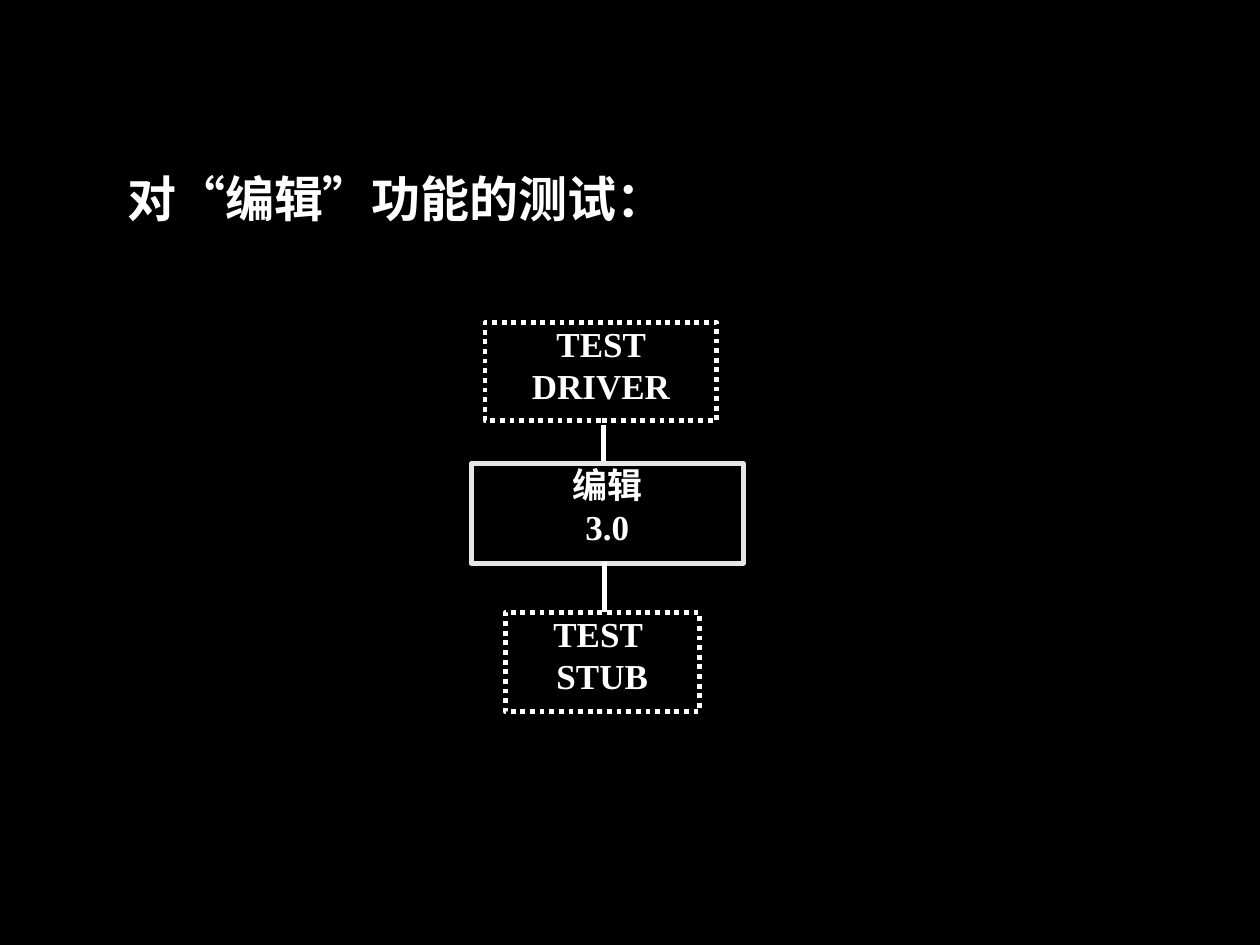
import pptx
import pptx.util
import pptx.dml.color
import pptx.enum.dml
import pptx.enum.shapes
import pptx.enum.text
import pptx.oxml.ns
import lxml.etree

Inches = pptx.util.Inches
Pt = pptx.util.Pt
BLACK = pptx.dml.color.RGBColor(0x00, 0x00, 0x00)
WHITE = pptx.dml.color.RGBColor(0xFF, 0xFF, 0xFF)
LIGHT_GRAY = pptx.dml.color.RGBColor(0xE7, 0xE6, 0xE6)
DOTTED = pptx.enum.dml.MSO_LINE.ROUND_DOT
SOLID = pptx.enum.dml.MSO_LINE.SOLID
ALIGN = pptx.enum.text.PP_ALIGN
TOP = pptx.enum.text.MSO_ANCHOR.TOP


def add_text(paragraph, text, size, alignment):
    paragraph.alignment = alignment
    run = paragraph.add_run()
    run.text = text
    run.font.name = "Times New Roman"
    run.font.size = Pt(size)
    run.font.bold = True
    run.font.color.rgb = WHITE


deck = pptx.Presentation()
deck.slide_width = Inches(10)
deck.slide_height = Inches(7.5)
slide = deck.slides.add_slide(deck.slide_layouts[5])
slide.background.fill.solid()
slide.background.fill.fore_color.rgb = BLACK

# Heading
heading = slide.shapes.title
heading.left, heading.top = Inches(0.91), Inches(1.29)
heading.width, heading.height = Inches(4.17), Inches(0.57)
heading.text_frame.word_wrap = True
heading.text_frame.auto_size = pptx.enum.text.MSO_AUTO_SIZE.SHAPE_TO_FIT_TEXT
heading.text_frame.vertical_anchor = TOP
add_text(heading.text_frame.paragraphs[0], "对“编辑”功能的测试：", 28, ALIGN.LEFT)

# Modules: driver, module under test, stub
modules = [
    (3.85, 2.56, 1.84, 0.78, WHITE, DOTTED, ["TEST DRIVER"]),
    (3.74, 3.68, 2.16, 0.79, LIGHT_GRAY, SOLID, ["编辑", "3.0"]),
    (4.01, 4.86, 1.54, 0.79, WHITE, DOTTED, ["TEST ", "STUB"]),
]
for left, top, width, height, color, dash, lines in modules:
    module = slide.shapes.add_shape(
        pptx.enum.shapes.MSO_SHAPE.RECTANGLE,
        Inches(left), Inches(top), Inches(width), Inches(height))
    module.shadow.inherit = False
    module.fill.background()
    module.line.color.rgb = color
    module.line.width = Pt(2.75)
    module.line.dash_style = dash
    frame = module.text_frame
    frame.word_wrap = True
    frame.vertical_anchor = TOP
    frame.margin_left = frame.margin_right = 0
    frame.margin_top = frame.margin_bottom = 0
    for index, line in enumerate(lines):
        paragraph = frame.add_paragraph() if index else frame.paragraphs[0]
        add_text(paragraph, line, 20, ALIGN.CENTER)

# Links between the modules
for x, start, end in [(4.79, 3.37, 3.66), (4.8, 4.66, 4.86), (4.8, 4.46, 4.66)]:
    link = slide.shapes.add_connector(
        pptx.enum.shapes.MSO_CONNECTOR.STRAIGHT,
        Inches(x), Inches(start), Inches(x), Inches(end))
    link.line.color.rgb = WHITE
    link.line.width = Pt(2.75)
    lxml.etree.SubElement(link._element.spPr, pptx.oxml.ns.qn("a:effectLst"))

deck.save("out.pptx")
